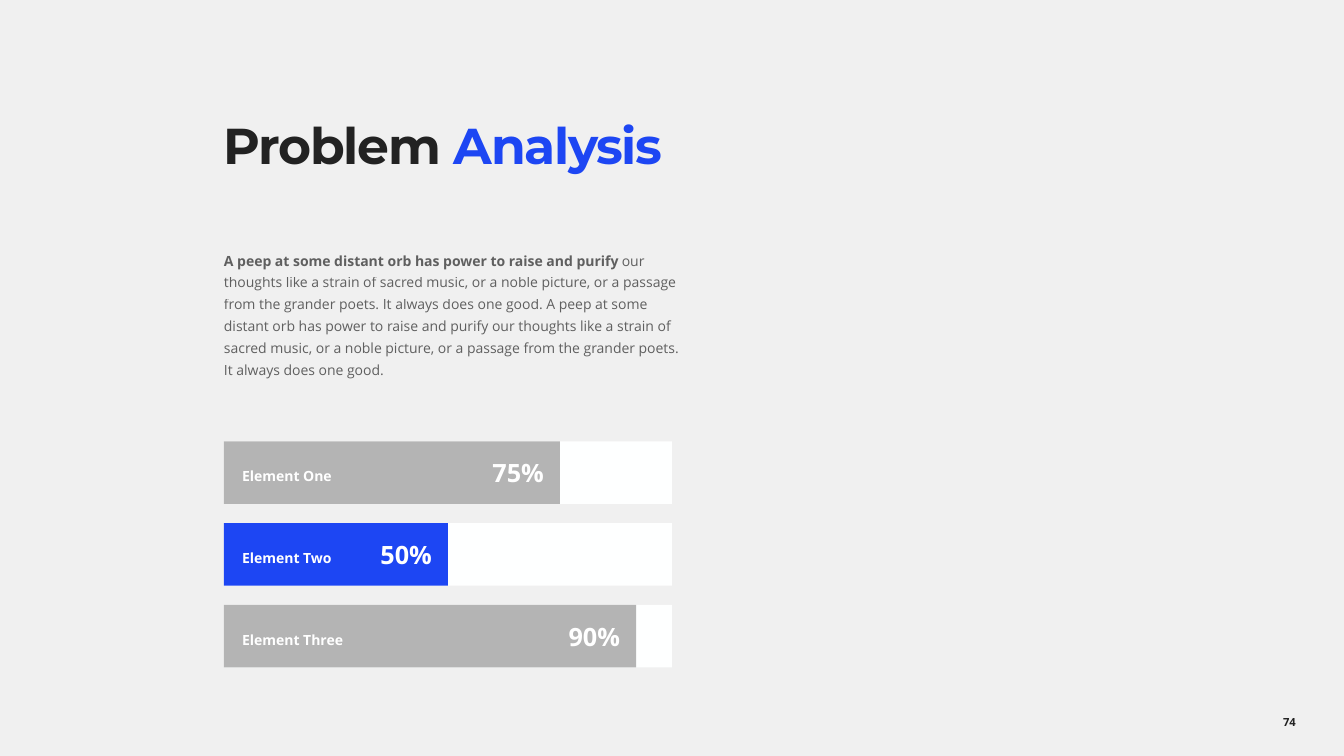
from lxml import etree
from pptx import Presentation
from pptx.dml.color import RGBColor
from pptx.enum.shapes import MSO_SHAPE
from pptx.enum.text import MSO_ANCHOR, MSO_AUTO_SIZE, PP_ALIGN
from pptx.oxml.ns import qn
from pptx.util import Inches, Pt

RECT = MSO_SHAPE.RECTANGLE
TOP, MIDDLE = MSO_ANCHOR.TOP, MSO_ANCHOR.MIDDLE
LEFT, CENTER, RIGHT = PP_ALIGN.LEFT, PP_ALIGN.CENTER, PP_ALIGN.RIGHT
GROW = MSO_AUTO_SIZE.SHAPE_TO_FIT_TEXT

HEAD, BODY = "Montserrat", "Open Sans"
INK, BLUE, GREY, TRACK, WHITE, PAPER = "222222", "1D46F3", "B4B4B4", "FEFFFF", "FFFFFF", "F0F0F0"

TITLE = [("Problem ", INK), ("Analysis", BLUE)]
LEAD = "A peep at some distant orb has power to raise and purify "
REST = (
    "our thoughts like a strain of sacred music, or a noble picture, or a passage from the "
    "grander poets. It always does one good. A peep at some distant orb has power to raise and "
    "purify our thoughts like a strain of sacred music, or a noble picture, or a passage from "
    "the grander poets. It always does one good."
)
BARS = [
    ("Element One", "75%", 0.75, GREY, 1.14),
    ("Element Two", "50%", 0.5, BLUE, 1.14),
    ("Element Three", "90%", 0.92, GREY, 1.26),
]
PAGE = "74"

SLIDE_W, SLIDE_H = 13.33, 7.5
MARGIN = SLIDE_W / 6
BAR_W, BAR_H, BAR_TOP, BAR_PITCH = SLIDE_W / 3, 0.62, 4.38, 0.81
LABEL_DX, LABEL_DY, LABEL_H = 0.18, 0.17, 0.28
TEXT_INSETS = (0, 0.04, 0.24, 0.04)


def rgb(color):
    return RGBColor.from_string(color)


def box(at):
    return [Inches(v) for v in at]


def set_frame(s, insets, anchor=TOP, align=LEFT, spacing=None, wrap=True):
    tf = s.text_frame
    tf.margin_left, tf.margin_top, tf.margin_right, tf.margin_bottom = box(insets)
    tf.vertical_anchor, tf.word_wrap = anchor, wrap
    p = tf.paragraphs[0]
    p.alignment = align
    if spacing:
        p.line_spacing = spacing
    return p


def add_run(p, text, size, color, bold=True, font=BODY, tracking=None, alpha=None):
    r = p.add_run()
    r.text = text
    r.font.size, r.font.bold, r.font.name = Pt(size), bold, font
    r.font.color.rgb = rgb(color)
    rpr = r.font._element
    if tracking:
        rpr.set("spc", str(tracking * 100))
    if alpha:
        clr = rpr.find(f".//{qn('a:srgbClr')}")
        etree.SubElement(clr, qn("a:alpha")).set("val", str(alpha * 1000))


def add_rect(shapes, at, color):
    s = shapes.add_shape(RECT, *box(at))
    s.shadow.inherit = False
    s.fill.solid()
    s.fill.fore_color.rgb = rgb(color)
    s.line.fill.background()
    return s


def add_bar(shapes, row, label, value, share, color, label_w):
    top = BAR_TOP + row * BAR_PITCH
    group = shapes.add_group_shape().shapes
    add_rect(group, (MARGIN, top, BAR_W, BAR_H), TRACK)
    s = add_rect(group, (MARGIN, top, BAR_W * share, BAR_H), color)
    p = set_frame(s, (0.16, 0.05, 0.16, 0.05), MIDDLE, RIGHT)
    add_run(p, value, 18, WHITE)
    s = group.add_textbox(*box((MARGIN + LABEL_DX, top + LABEL_DY, label_w, LABEL_H)))
    p = set_frame(s, TEXT_INSETS, spacing=1.3, wrap=False)
    s.text_frame.auto_size = GROW
    add_run(p, label, 10, WHITE)


def main():
    prs = Presentation()
    prs.slide_width, prs.slide_height = box((SLIDE_W, SLIDE_H))
    slide = prs.slides.add_slide(prs.slide_layouts[6])
    slide.background.fill.solid()
    slide.background.fill.fore_color.rgb = rgb(PAPER)
    shapes = slide.shapes

    title = shapes.add_textbox(*box((MARGIN, 1.04, SLIDE_W * 0.75, 1.37)))
    p = set_frame(title, (0, 0.21, 0, 0), spacing=0.8)
    for text, color in TITLE:
        add_run(p, text, 36, color, font=HEAD, tracking=-1)

    body = shapes.add_textbox(*box((MARGIN, 2.41, 4.87, 1.39)))
    p = set_frame(body, TEXT_INSETS, spacing=1.3)
    body.text_frame.auto_size = GROW
    for text, bold in ((LEAD, True), (REST, False)):
        add_run(p, text, 10, INK, bold, alpha=70)

    for row, bar in enumerate(BARS):
        add_bar(shapes, row, *bar)

    page = shapes.add_textbox(*box((12.24, 6.96, 1.1, 0.4)))
    p = set_frame(page, (0.1, 0.05, 0.1, 0.05), MIDDLE, CENTER)
    add_run(p, PAGE, 8, INK)

    prs.save("out.pptx")


if __name__ == "__main__":
    main()
